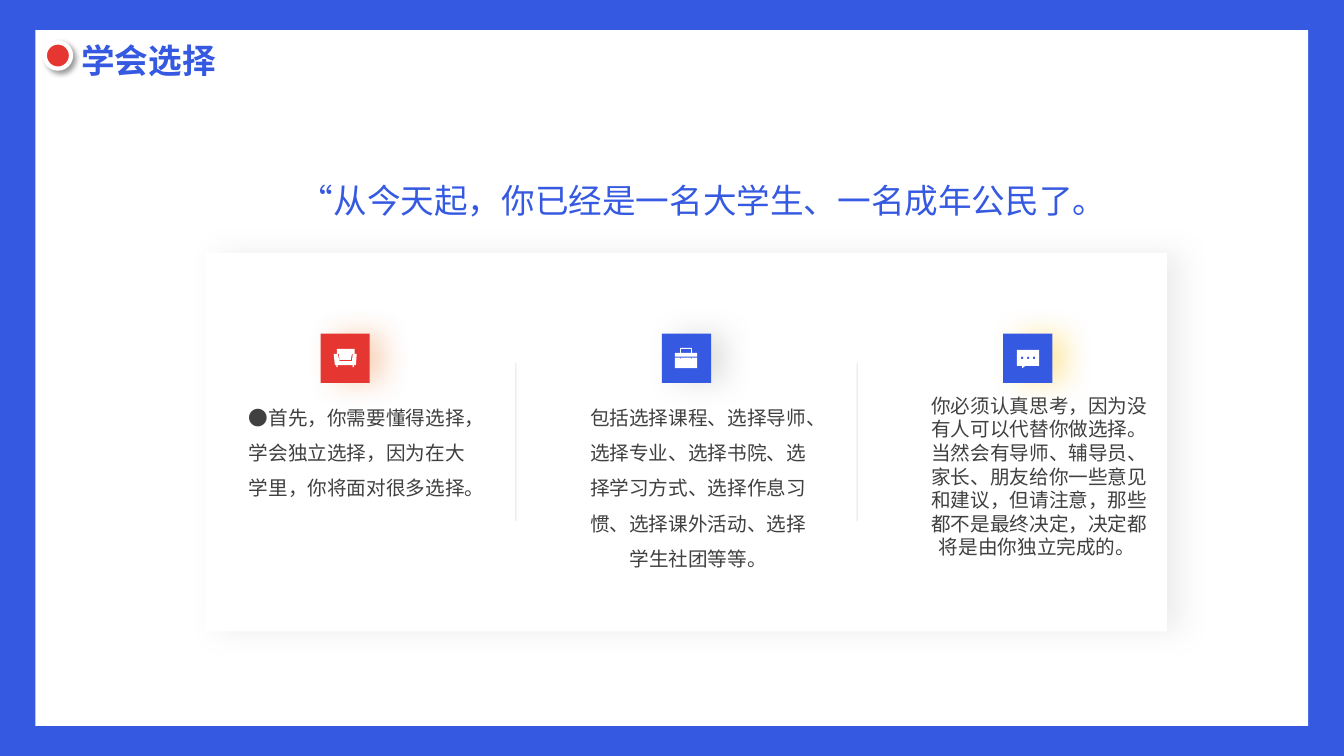
"""Build the slide on learning to choose: a framed page with a three-column card."""
import math
import lxml.etree
import pptx
import pptx.dml.color
import pptx.enum.shapes
import pptx.enum.text
import pptx.oxml.ns
import pptx.util

Cm = pptx.util.Cm
Pt = pptx.util.Pt
RGBColor = pptx.dml.color.RGBColor
SHAPES = pptx.enum.shapes.MSO_SHAPE
ALIGN = pptx.enum.text.PP_ALIGN
qn = pptx.oxml.ns.qn

BLUE = RGBColor(0x35, 0x59, 0xE1)
RED = RGBColor(0xE5, 0x36, 0x31)
WHITE = RGBColor(0xFF, 0xFF, 0xFF)
INK = RGBColor(0x40, 0x40, 0x40)
GRAY = RGBColor(0x80, 0x80, 0x80)
BLACK = RGBColor(0, 0, 0)
CARD_SHADOW = RGBColor(0xA6, 0xA6, 0xA6)
ORANGE_GLOW = RGBColor(0xED, 0x7D, 0x31)
GRAY_GLOW = RGBColor(0xA5, 0xA5, 0xA5)
GOLD_GLOW = RGBColor(0xFF, 0xC0, 0x00)
FONT = "Noto Sans CJK SC"


def paint(shape, color, shadow=None):
    """Fill a shape without outline; shadow is color, opacity, blur, distance, angle."""
    shape.fill.solid()
    shape.fill.fore_color.rgb = color
    shape.line.fill.background()
    shape.shadow.inherit = False
    if shadow:
        tint, opacity, blur, distance, angle = shadow
        effects = shape._element.spPr.find(qn("a:effectLst"))
        outer = lxml.etree.SubElement(
            effects, qn("a:outerShdw"), blurRad=str(Pt(blur)), dist=str(Pt(distance)),
            dir=str(angle * 60000), algn="ctr", rotWithShape="0")
        shade = lxml.etree.SubElement(outer, qn("a:srgbClr"), val=str(tint))
        lxml.etree.SubElement(shade, qn("a:alpha"), val=str(opacity * 1000))


def add_text(bounds, text, size, color, align, spacing=1.0, bold=False):
    """Add a wrapped text box with one paragraph."""
    box = page.shapes.add_textbox(*map(Cm, bounds))
    box.text_frame.word_wrap = True
    box.text_frame.auto_size = pptx.enum.text.MSO_AUTO_SIZE.SHAPE_TO_FIT_TEXT
    para = box.text_frame.paragraphs[0]
    para.alignment = align
    para.line_spacing = spacing
    span = para.add_run()
    span.text = text
    span.font.name = FONT
    span.font.size = Pt(size)
    span.font.bold = bold
    span.font.color.rgb = color
    lxml.etree.SubElement(span.font._element, qn("a:ea"), typeface=FONT)


deck = pptx.Presentation()
deck.slide_width = Cm(33.87)
deck.slide_height = Cm(19.05)
page = deck.slides.add_slide(deck.slide_layouts[6])

frame = page.shapes.add_shape(SHAPES.RECTANGLE, 0, 0, deck.slide_width, deck.slide_height)
paint(frame, BLUE)
sheet = page.shapes.add_shape(SHAPES.RECTANGLE, Cm(0.89), Cm(0.76), Cm(32.08), Cm(17.53))
paint(sheet, WHITE)

dot = page.shapes.add_shape(SHAPES.OVAL, Cm(1.13), Cm(1.07), Cm(0.66), Cm(0.66))
paint(dot, RED, (BLACK, 40, 4, 3, 45))
dot.line.color.rgb = WHITE
dot.line.width = Pt(3)
add_text((1.8, 0.89, 9.93, 1.28), "学会选择", 24, BLUE, ALIGN.LEFT, bold=True)

card = page.shapes.add_shape(SHAPES.RECTANGLE, Cm(5.18), Cm(6.38), Cm(24.23), Cm(9.53))
paint(card, WHITE, (CARD_SHADOW, 20, 20, 10, 0))
add_text((7.26, 4.42, 20.07, 1.28), "“从今天起，你已经是一名大学生、一名成年公民了。",
         24, BLUE, ALIGN.CENTER)

# Icon outlines are in hundredths of a centimetre from the tile corner.
SOFA = [
    [(43, 51), (48, 69), (79, 69), (81, 51), (91, 51), (89, 79), (84, 79), (84, 84),
     (81, 84), (81, 79), (43, 79), (43, 84), (40, 84), (40, 79), (36, 79), (33, 51)],
    [(86, 38), (86, 51), (79, 51), (76, 66), (48, 66), (46, 51), (41, 51), (41, 38)],
]
BRIEFCASE = [
    [(46, 60), (46, 63), (48, 63), (48, 60), (74, 60), (74, 63), (76, 63), (76, 60),
     (89, 60), (89, 87), (33, 87), (33, 60)],
    [(76, 36), (76, 48), (89, 48), (89, 58), (33, 58), (33, 48), (46, 48), (46, 36)],
    [(74, 38), (48, 38), (48, 48), (74, 48)],
]
CHAT = [[(91, 41), (91, 81), (56, 81), (48, 87), (48, 81), (35, 81), (35, 41)]]
for center in (48, 63, 78):
    CHAT.append([(center + 3 * math.cos(step * math.pi / 6),
                  61 + 3 * math.sin(step * math.pi / 6)) for step in range(12)])

COLUMNS = [
    (RED, ORANGE_GLOW, SOFA, 1.5,
     "●首先，你需要懂得选择，学会独立选择，因为在大学里，你将面对很多选择。"),
    (BLUE, GRAY_GLOW, BRIEFCASE, 1.5,
     "包括选择课程、选择导师、选择专业、选择书院、选择学习方式、选择作息习惯、"
     "选择课外活动、选择学生社团等等。"),
    (BLUE, GOLD_GLOW, CHAT, 1.0,
     "你必须认真思考，因为没有人可以代替你做选择。当然会有导师、辅导员、家长、朋友"
     "给你一些意见和建议，但请注意，那些都不是最终决定，决定都将是由你独立完成的。 "),
]
PITCH = 8.6
TILE_TOP = 8.41
for index, (color, glow, outlines, spacing, text) in enumerate(COLUMNS):
    shift = index * PITCH
    tile_left = 8.08 + shift
    tile = page.shapes.add_shape(
        SHAPES.RECTANGLE, Cm(tile_left), Cm(TILE_TOP), Cm(1.24), Cm(1.24))
    paint(tile, color, (glow, 32, 20, 10, 0))

    builder = page.shapes.build_freeform(*outlines[0][0], scale=Cm(0.01))
    for number, outline in enumerate(outlines):
        if number:
            builder.move_to(*outline[0])
        builder.add_line_segments(outline[1:], close=True)
    paint(builder.convert_to_shape(Cm(tile_left), Cm(TILE_TOP)), WHITE)

    add_text((5.92 + shift, 9.8, 6.15, 4.5), text, 14, INK, ALIGN.CENTER, spacing)

    if index < len(COLUMNS) - 1:
        divider_x = Cm(13 + shift)
        divider = page.shapes.add_connector(
            pptx.enum.shapes.MSO_CONNECTOR.STRAIGHT, divider_x, Cm(9.15), divider_x, Cm(13.13))
        divider.line.color.rgb = GRAY
        divider.line.width = Pt(0.75)
        shade = divider.line._ln.find(".//" + qn("a:srgbClr"))
        lxml.etree.SubElement(shade, qn("a:alpha"), val="20000")
        lxml.etree.SubElement(divider._element.spPr, qn("a:effectLst"))

deck.save("out.pptx")
